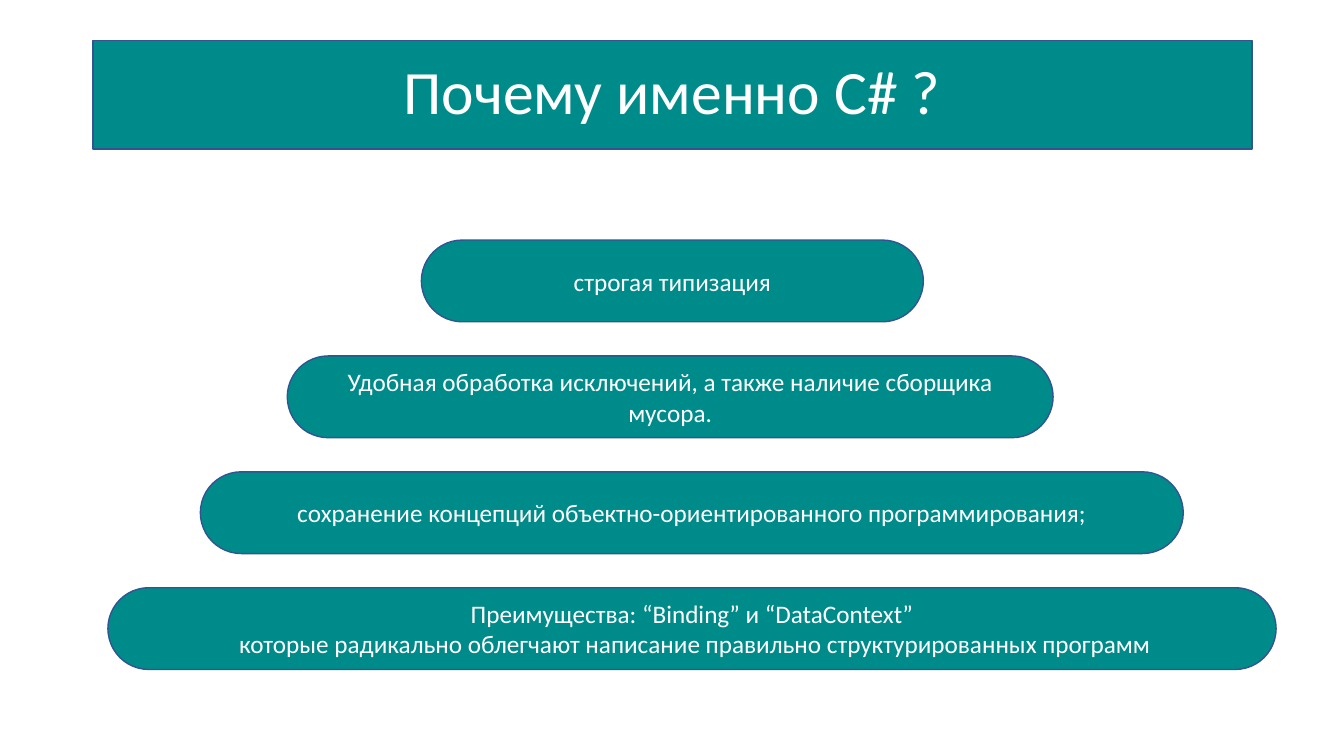
from pptx import Presentation
from pptx.dml.color import RGBColor
from pptx.enum.shapes import MSO_SHAPE
from pptx.enum.text import MSO_ANCHOR, MSO_AUTO_SIZE, PP_ALIGN
from pptx.util import Cm, Pt

PILL = MSO_SHAPE.ROUNDED_RECTANGLE
MIDDLE = MSO_ANCHOR.MIDDLE
CENTER = PP_ALIGN.CENTER
FIXED = MSO_AUTO_SIZE.NONE

# Left edge, width (cm) and lines of each step, top to bottom
STEPS = [
    (10.62, 12.65, ["строгая типизация"]),
    (7.24, 19.3, ["Удобная обработка исключений, а также наличие сборщика мусора."]),
    (5.05, 24.77, ["сохранение концепций объектно-ориентированного программирования;"]),
    (2.72, 29.44, ["Преимущества: “Binding” и “DataContext”",
                   " которые радикально облегчают написание правильно "
                   "структурированных программ"]),
]
TOP, PITCH, HEIGHT = 6.05, 2.92, 2.06


def color(code):
    return RGBColor.from_string(code)


def assign(target, values):
    for name, value in values.items():
        setattr(target, name, value)


class Deck:
    """Holds the style and the current slide."""
    font = "Calibri"
    teal, edge, ink = "008B8B", "325491", "FFFFFF"

    def __init__(self, prs):
        self.slide = prs.slides.add_slide(prs.slide_layouts[5])

    def paint(self, shape):
        shape.fill.solid()
        shape.fill.fore_color.rgb = color(self.teal)
        shape.line.color.rgb = color(self.edge)
        shape.line.width = Pt(1)

    def label(self, shape, lines, size, space):
        frame = shape.text_frame
        frame.text = "\n".join(lines)
        assign(frame, {"word_wrap": True, "auto_size": FIXED,
                       "vertical_anchor": MIDDLE})
        for para in frame.paragraphs:
            assign(para, {"alignment": CENTER, "line_spacing": space})
            for run in para.runs:
                assign(run.font, {"name": self.font, "size": Pt(size)})
                run.font.color.rgb = color(self.ink)

    def title(self, text, left, top, width, height):
        shape = self.slide.shapes.title
        assign(shape, {"left": Cm(left), "top": Cm(top),
                       "width": Cm(width), "height": Cm(height)})
        self.paint(shape)
        self.label(shape, [text], 44, 0.9)

    def pill(self, lines, left, top, width, height):
        shape = self.slide.shapes.add_shape(
            PILL, Cm(left), Cm(top), Cm(width), Cm(height))
        shape.adjustments[0] = 0.5
        shape.shadow.inherit = False
        self.paint(shape)
        self.label(shape, lines, 18, 1.0)


def main():
    prs = Presentation()
    assign(prs, {"slide_width": Cm(33.87), "slide_height": Cm(19.05)})
    deck = Deck(prs)

    # Title band
    deck.title("Почему именно C# ?", 2.34, 1.02, 29.21, 2.74)

    # Widening steps at an equal pitch
    for row, (left, width, lines) in enumerate(STEPS):
        deck.pill(lines, left, TOP + row * PITCH, width, HEIGHT)

    prs.save("out.pptx")


if __name__ == "__main__":
    main()
